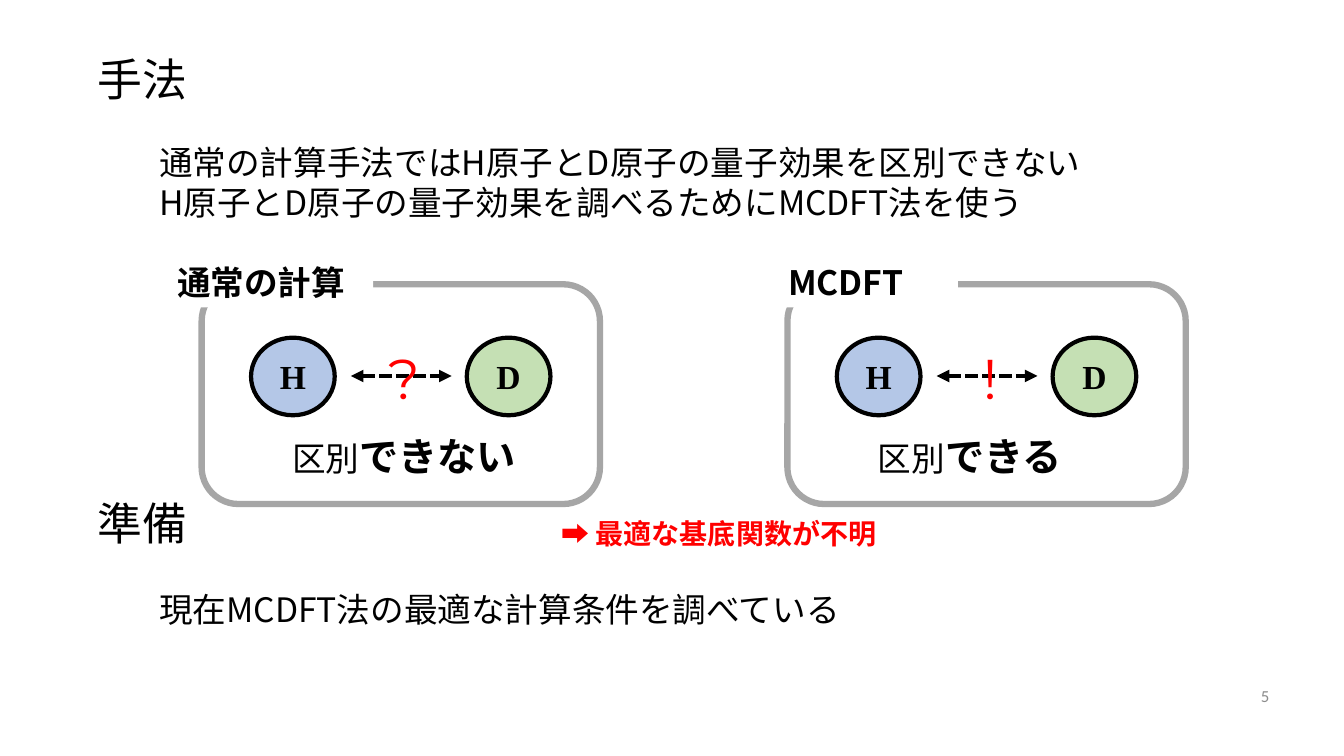
from lxml import etree
from pptx import Presentation
from pptx.dml.color import RGBColor
from pptx.enum.dml import MSO_LINE
from pptx.enum.shapes import MSO_CONNECTOR, MSO_SHAPE
from pptx.enum.text import MSO_ANCHOR, MSO_AUTO_SIZE, PP_ALIGN
from pptx.oxml.ns import qn
from pptx.util import Inches, Pt

BLACK = RGBColor(0x00, 0x00, 0x00)
WHITE = RGBColor(0xFF, 0xFF, 0xFF)
RED = RGBColor(0xFF, 0x00, 0x00)
FRAME_GRAY = RGBColor(0xA6, 0xA6, 0xA6)
NUMBER_GRAY = RGBColor(0x8C, 0x8C, 0x8C)
HYDROGEN_BLUE = RGBColor(0xB4, 0xC7, 0xE7)
DEUTERIUM_GREEN = RGBColor(0xC5, 0xE0, 0xB4)
JAPANESE = "Noto Sans CJK JP"

presentation = Presentation()
presentation.slide_width = Inches(13.33)
presentation.slide_height = Inches(7.5)
slide = presentation.slides.add_slide(presentation.slide_layouts[5])
shapes = slide.shapes


def write(shape, lines, align=PP_ALIGN.LEFT, anchor=MSO_ANCHOR.TOP, wrap=True):
    """Fill a shape with lines, each a list of (text, size, font, colour, bold) runs."""
    frame = shape.text_frame
    frame.word_wrap = wrap
    frame.auto_size = MSO_AUTO_SIZE.NONE
    frame.vertical_anchor = anchor
    for index, line in enumerate(lines):
        paragraph = frame.add_paragraph() if index else frame.paragraphs[0]
        paragraph.alignment = align
        for text, size, font_name, color, bold in line:
            run = paragraph.add_run()
            run.text = text
            run.font.size = Pt(size)
            run.font.bold = bold
            run.font.color.rgb = color
            run.font.name = font_name
            east_asian = JAPANESE if font_name == "Arial" else font_name
            etree.SubElement(run.font._element, qn("a:ea"), typeface=east_asian)


def add_box(kind, left, top, width, height, fill=None, line=None, line_width=3):
    shape = shapes.add_shape(kind, Inches(left), Inches(top), Inches(width), Inches(height))
    shape.shadow.inherit = False
    if fill is None:
        shape.fill.background()
    else:
        shape.fill.solid()
        shape.fill.fore_color.rgb = fill
    if line is None:
        shape.line.fill.background()
    else:
        shape.line.color.rgb = line
        shape.line.width = Pt(line_width)
    return shape


# Headings
title = shapes.title
title.left, title.top = Inches(0.87), Inches(0.46)
title.width, title.height = Inches(1.1), Inches(0.64)
write(title, [[("手法", 32, JAPANESE, BLACK, False)]], wrap=False)

# Comparison panels
panels = [
    (2, 1.48, 3.75, "通常の計算", "?", "できない"),
    (7.81, 7.28, 9.65, "MCDFT", "!", "できる"),
]
for left, label_left, mark_left, label, mark, verdict in panels:
    add_box(MSO_SHAPE.ROUNDED_RECTANGLE, left, 2.82, 3.95, 2.18, line=FRAME_GRAY, line_width=4.5)

    label_box = add_box(MSO_SHAPE.ROUNDED_RECTANGLE, label_left, 2.55, 2.22, 0.5, fill=WHITE)
    write(label_box, [[(label, 24, JAPANESE, BLACK, True)]], PP_ALIGN.CENTER, MSO_ANCHOR.MIDDLE)

    for offset, symbol, color in [(0.49, "H", HYDROGEN_BLUE), (2.63, "D", DEUTERIUM_GREEN)]:
        atom = add_box(MSO_SHAPE.FLOWCHART_CONNECTOR, left + offset, 3.35, 0.83, 0.77, color, BLACK)
        write(atom, [[(symbol, 24, "Times New Roman", BLACK, True)]],
              PP_ALIGN.CENTER, MSO_ANCHOR.MIDDLE)

    arrow = shapes.add_connector(MSO_CONNECTOR.STRAIGHT, Inches(left + 1.48), Inches(3.73),
                                 Inches(left + 2.48), Inches(3.73))
    arrow.line.color.rgb = BLACK
    arrow.line.width = Pt(3)
    arrow.line.dash_style = MSO_LINE.SQUARE_DOT
    line_properties = arrow.line._get_or_add_ln()
    for end in ("a:headEnd", "a:tailEnd"):
        etree.SubElement(line_properties, qn(end), type="triangle")
    etree.SubElement(arrow._element.spPr, qn("a:effectLst"))

    mark_box = shapes.add_textbox(Inches(mark_left), Inches(3.36), Inches(0.68), Inches(0.77))
    write(mark_box, [[(mark, 40, "Montserrat", RED, False)]])

    verdict_box = shapes.add_textbox(Inches(left + 0.8), Inches(4.24), Inches(2.54), Inches(0.57))
    write(verdict_box, [[("区別", 24, JAPANESE, BLACK, False), (verdict, 28, JAPANESE, BLACK, True)]])

# Body text
texts = [
    (1.48, 1.36, 10.71, 1.31, [
        [("通常の計算手法ではH原子とD原子の量子効果を区別できない", 24, JAPANESE, BLACK, False)],
        [("H原子とD原子の量子効果を調べるためにMCDFT法を使う", 24, JAPANESE, BLACK, False)],
    ]),
    (0.87, 4.87, 1.1, 0.64, [[("準備", 32, JAPANESE, BLACK, False)]]),
    (5.47, 5.07, 3.49, 0.44, [[
        ("➡ ", 20, "Arial", RED, False),
        ("最適な基底関数が不明", 20, "Arial", RED, True),
    ]]),
    (1.48, 5.79, 9.95, 0.5, [
        [("現在MCDFT法の最適な計算条件を調べている", 24, JAPANESE, BLACK, False)],
    ]),
]
for left, top, width, height, lines in texts:
    text_box = shapes.add_textbox(Inches(left), Inches(top), Inches(width), Inches(height))
    write(text_box, lines)

# Slide number
number_box = shapes.add_textbox(Inches(9.69), Inches(6.7), Inches(3), Inches(0.4))
write(number_box, [[("5", 12, "Calibri", NUMBER_GRAY, False)]], PP_ALIGN.RIGHT, MSO_ANCHOR.MIDDLE)

presentation.save("out.pptx")
